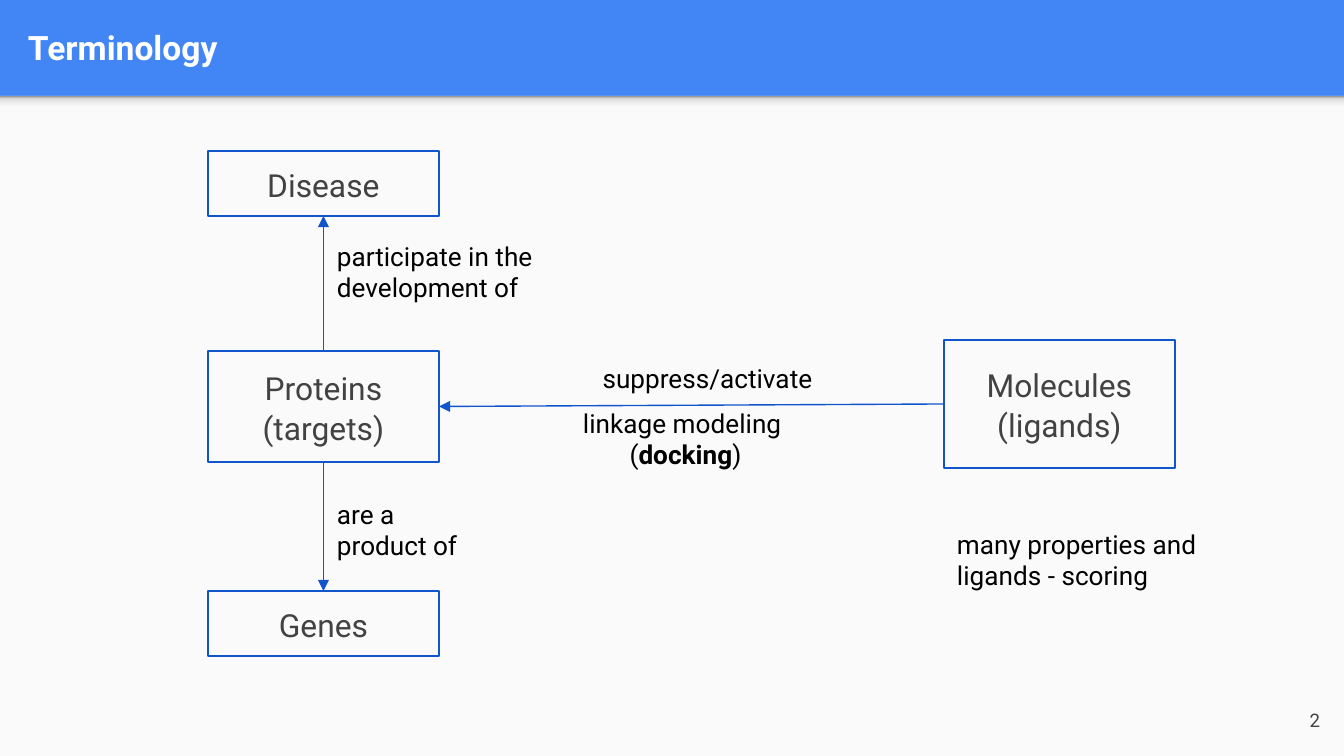
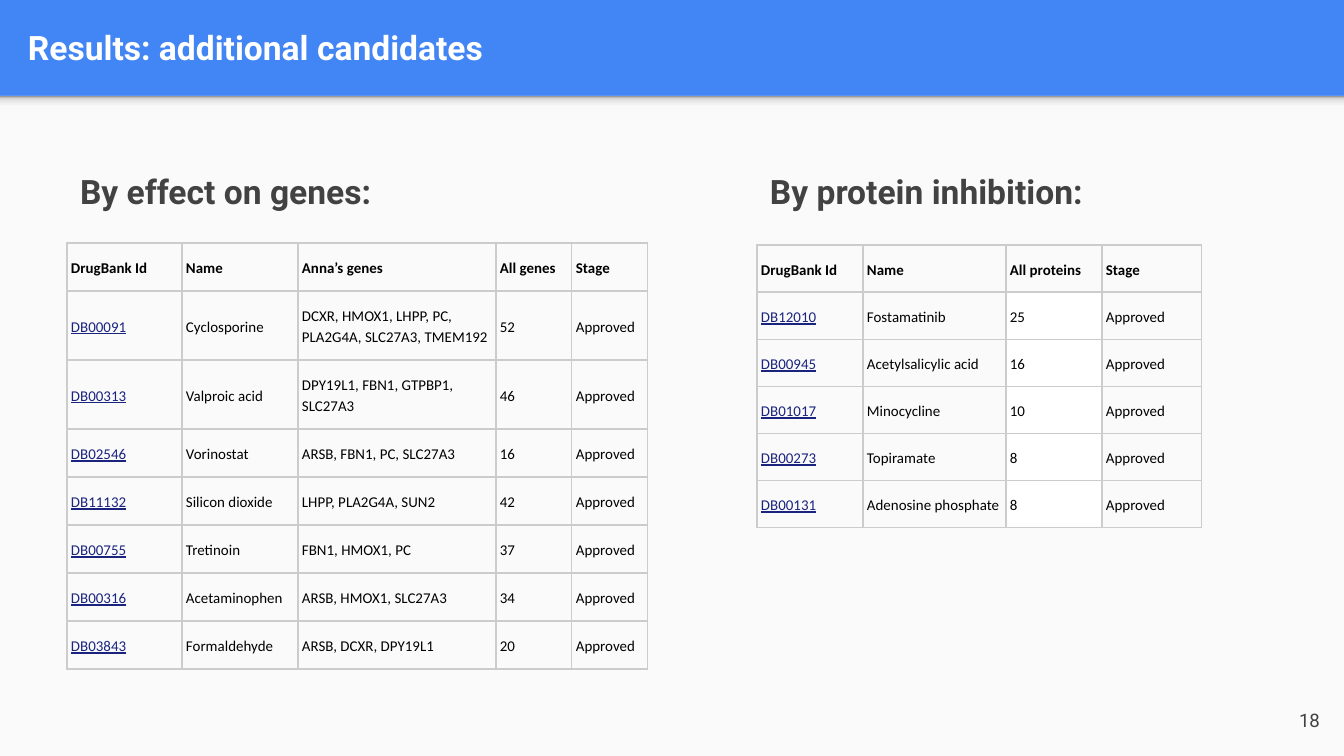
from lxml.etree import SubElement
from pptx import Presentation
from pptx.dml.color import RGBColor
from pptx.enum.shapes import MSO_CONNECTOR, MSO_SHAPE
from pptx.enum.text import MSO_ANCHOR, MSO_AUTO_SIZE, PP_ALIGN
from pptx.oxml.ns import qn
from pptx.util import Pt

SLIDE_W, SLIDE_H = 1344, 756
EMU_PER_PX = 9144000 / SLIDE_W
INSET = 13
BAND_H = 96
TITLE_ONLY = 5

COLORS = {
    "band": "4285F4",
    "panel": "FAFAFA",
    "title": "FFFFFF",
    "body": "424242",
    "label": "000000",
    "outline": "1155CC",
    "link": "1A237E",
    "grid": "CCCCCC",
    "count": "FFFFFF",
}
BAND_SHADOW = [(0, "F9F9F9"), (36, "F9F9F9"), (80, "DEDEDE"), (100, "999999")]

# Rectangle sides as connection sites
TOP, LEFT, BOTTOM, RIGHT = range(4)

GENE_ROWS = [
    ("DrugBank Id", "Name", "Anna’s genes", "All genes", "Stage"),
    ("DB00091", "Cyclosporine",
     "DCXR, HMOX1, LHPP, PC, PLA2G4A, SLC27A3, TMEM192", "52", "Approved"),
    ("DB00313", "Valproic acid", "DPY19L1, FBN1, GTPBP1, SLC27A3", "46", "Approved"),
    ("DB02546", "Vorinostat", "ARSB, FBN1, PC, SLC27A3", "16", "Approved"),
    ("DB11132", "Silicon dioxide", "LHPP, PLA2G4A, SUN2", "42", "Approved"),
    ("DB00755", "Tretinoin", "FBN1, HMOX1, PC", "37", "Approved"),
    ("DB00316", "Acetaminophen", "ARSB, HMOX1, SLC27A3", "34", "Approved"),
    ("DB03843", "Formaldehyde", "ARSB, DCXR, DPY19L1", "20", "Approved"),
]
PROTEIN_ROWS = [
    ("DrugBank Id", "Name", "All proteins", "Stage"),
    ("DB12010", "Fostamatinib", "25", "Approved"),
    ("DB00945", "Acetylsalicylic acid", "16", "Approved"),
    ("DB01017", "Minocycline", "10", "Approved"),
    ("DB00273", "Topiramate", "8", "Approved"),
    ("DB00131", "Adenosine phosphate", "8", "Approved"),
]


def px(n):
    return round(n * EMU_PER_PX)


def rgb(name):
    return RGBColor.from_string(COLORS[name])


def style_font(p, size, color, bold=False, name="Roboto"):
    p.font.size = Pt(size)
    p.font.name = name
    p.font.bold = bold
    p.font.color.rgb = rgb(color)


def write(sp, text, size, color, bold=False, align=PP_ALIGN.LEFT,
          anchor=MSO_ANCHOR.TOP, spacing=None):
    tf = sp.text_frame
    tf.word_wrap = True
    tf.auto_size = MSO_AUTO_SIZE.NONE
    tf.vertical_anchor = anchor
    tf.margin_left = tf.margin_right = tf.margin_top = tf.margin_bottom = px(INSET)
    tf.text = text
    for p in tf.paragraphs:
        p.alignment = align
        p.line_spacing = spacing
        style_font(p, size, color, bold)
    return tf


def add_text(s, box, text, size, color, **style):
    return write(s.shapes.add_textbox(*map(px, box)), text, size, color, **style)


def add_rect(s, box):
    sp = s.shapes.add_shape(MSO_SHAPE.RECTANGLE, *map(px, box))
    sp.shadow.inherit = False
    sp.fill.solid()
    sp.fill.fore_color.rgb = rgb("panel")
    sp.line.fill.background()
    return sp


def add_band_shadow(s):
    sp = add_rect(s, (0, BAND_H, SLIDE_W, 16))
    sp.fill.gradient()
    sp.fill.gradient_angle = 90
    stops = sp._element.spPr.find(".//" + qn("a:gsLst"))
    stops.clear()
    for percent, color in BAND_SHADOW:
        stop = SubElement(stops, qn("a:gs"), pos=str(percent * 1000))
        SubElement(stop, qn("a:srgbClr"), val=color)


def add_base_slide(prs, title, number):
    s = prs.slides.add_slide(prs.slide_layouts[TITLE_ONLY])
    add_rect(s, (0, BAND_H, SLIDE_W, SLIDE_H - BAND_H))
    add_band_shadow(s)
    sp = s.shapes.title
    sp.left, sp.top, sp.width, sp.height = map(px, (15, 3, 1297, 89))
    write(sp, title, 18, "title", bold=True, anchor=MSO_ANCHOR.MIDDLE)
    add_text(s, (1253, 691, 80, 58), str(number), 10, "body",
             align=PP_ALIGN.RIGHT, anchor=MSO_ANCHOR.MIDDLE)
    return s


def add_node(s, left, top, height, text):
    sp = add_rect(s, (left, top, 231, height))
    sp.line.color.rgb = rgb("outline")
    sp.line.width = Pt(0.75)
    write(sp, text, 17, "body", align=PP_ALIGN.CENTER,
          anchor=MSO_ANCHOR.MIDDLE, spacing=1.05)
    return sp


def add_arrow(s, start, start_side, end, end_side):
    line = s.shapes.add_connector(MSO_CONNECTOR.STRAIGHT, 0, 0, 0, 0)
    line.begin_connect(start, start_side)
    line.end_connect(end, end_side)
    line.line.color.rgb = rgb("outline")
    line.line.width = Pt(0.75)
    SubElement(line.line._get_or_add_ln(), qn("a:tailEnd"), type="triangle")
    SubElement(line._element.spPr, qn("a:effectLst"))


def add_label(s, left, top, width, height, text, align=PP_ALIGN.LEFT):
    tf = add_text(s, (left, top, width, height), text, 14, "label", align=align)
    tf.auto_size = MSO_AUTO_SIZE.SHAPE_TO_FIT_TEXT
    return tf


def add_borders(cell):
    tc_pr = cell._tc.get_or_add_tcPr()
    for side in ("lnL", "lnR", "lnT", "lnB"):
        ln = SubElement(tc_pr, qn(f"a:{side}"), w=str(Pt(0.75)))
        fill = SubElement(ln, qn("a:solidFill"))
        SubElement(fill, qn("a:srgbClr"), val=COLORS["grid"])


def add_drug_table(s, left, top, col_widths, row_heights, rows, filled_col=None):
    frame = s.shapes.add_table(len(rows), len(col_widths), px(left), px(top),
                               px(sum(col_widths)), px(sum(row_heights)))
    table = frame.table
    table.first_row = table.horz_banding = False
    for col, width in zip(table.columns, col_widths):
        col.width = px(width)
    for r, (row, height) in enumerate(zip(rows, row_heights)):
        table.rows[r].height = px(height)
        for c, text in enumerate(row):
            cell = table.cell(r, c)
            add_borders(cell)
            if r and c == filled_col:
                cell.fill.solid()
                cell.fill.fore_color.rgb = rgb("count")
            else:
                cell.fill.background()
            cell.vertical_anchor = MSO_ANCHOR.MIDDLE
            cell.margin_left = cell.margin_right = px(4)
            cell.margin_top = cell.margin_bottom = px(INSET)
            cell.text = text
            p = cell.text_frame.paragraphs[0]
            p.line_spacing = 1.15
            is_link = r > 0 and c == 0
            style_font(p, 8, "link" if is_link else "label", r == 0, "Calibri")
            p.font.underline = is_link


def build_terminology(prs):
    s = add_base_slide(prs, "Terminology", 2)

    # Concepts
    proteins = add_node(s, 208, 351, 111, "Proteins (targets)")
    disease = add_node(s, 208, 151, 65, "Disease")
    genes = add_node(s, 208, 591, 65, "Genes")
    molecules = add_node(s, 944, 340, 128, "Molecules (ligands)")

    # Relations
    add_arrow(s, proteins, TOP, disease, BOTTOM)
    add_arrow(s, molecules, LEFT, proteins, RIGHT)
    add_arrow(s, proteins, BOTTOM, genes, TOP)

    # Relation labels
    add_label(s, 324, 227, 367, 90, "participate in the development of")
    add_label(s, 324, 485, 367, 90, "are a\nproduct of")
    add_label(s, 532, 349, 351, 59, "suppress/activate", PP_ALIGN.CENTER)
    tf = add_label(s, 510, 394, 351, 90, "linkage modeling \v(", PP_ALIGN.CENTER)
    p = tf.paragraphs[0]
    for text, bold in (("docking", True), (")", False)):
        r = p.add_run()
        r.text = text
        r.font.bold = bold
    add_label(s, 944, 515, 351, 90, "many properties and ligands - scoring")


def build_candidates(prs):
    s = add_base_slide(prs, "Results: additional candidates", 18)

    # Candidates by genes
    add_text(s, (67, 144, 767, 67), "By effect on genes:", 18, "body",
             bold=True, spacing=1.35)
    add_drug_table(s, 67, 243, (115, 116, 198, 76, 76),
                   [48] + [69] * 2 + [48] * 5, GENE_ROWS)

    # Candidates by proteins
    add_text(s, (757, 152, 509, 119), "By protein inhibition:", 18, "body",
             bold=True, spacing=1.15)
    add_drug_table(s, 757, 245, (106, 143, 96, 100), [47] * 6,
                   PROTEIN_ROWS, filled_col=2)


def main():
    prs = Presentation()
    prs.slide_width, prs.slide_height = px(SLIDE_W), px(SLIDE_H)
    background = prs.slide_master.background.fill
    background.solid()
    background.fore_color.rgb = rgb("band")
    build_terminology(prs)
    build_candidates(prs)
    prs.save("out.pptx")


if __name__ == "__main__":
    main()
